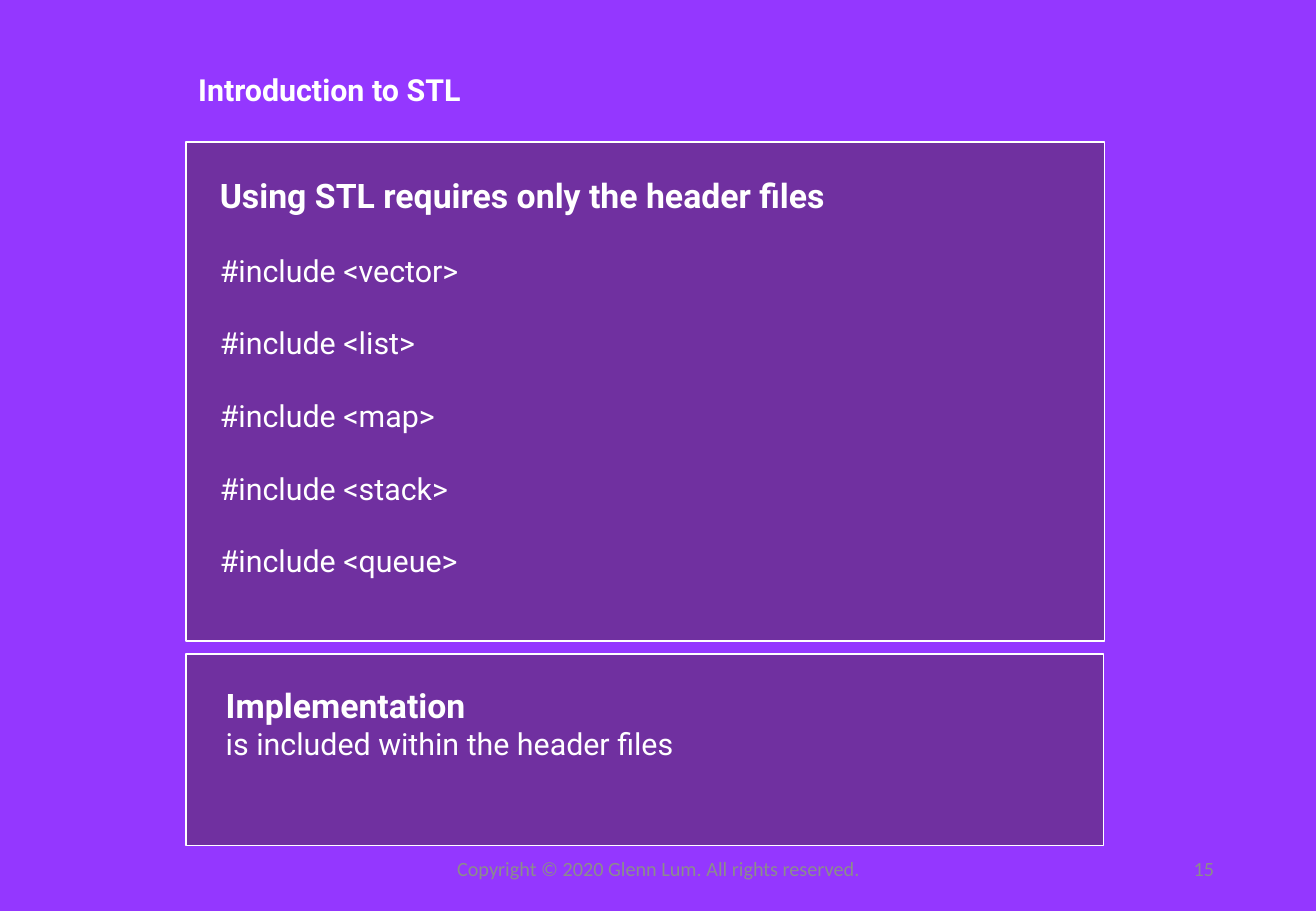
from pptx import Presentation
from pptx.dml.color import RGBColor
from pptx.enum.shapes import MSO_SHAPE
from pptx.enum.text import MSO_ANCHOR, MSO_AUTO_SIZE, PP_ALIGN
from pptx.oxml.ns import qn
from pptx.util import Cm, Pt
from lxml.etree import SubElement

WHITE, GREY, PURPLE, VIOLET = "FFFFFF", "8C8C8C", "7030A0", "9437FF"


def colour(hex_string):
    return RGBColor.from_string(hex_string)


class SlideBuilder:
    """Holds the style and the current slide."""

    heading_size, text_size, footer_size = 20, 18, 12

    def __init__(self, presentation):
        self.slide = presentation.slides.add_slide(presentation.slide_layouts[1])
        background = self.slide.background.fill
        background.solid()
        background.fore_color.rgb = colour(VIOLET)

    def place(self, shape, box):
        shape.left, shape.top, shape.width, shape.height = map(Cm, box)

    def fill_text(self, shape, lines, align=PP_ALIGN.LEFT, anchor=MSO_ANCHOR.TOP,
                  font="Roboto", ink=WHITE, gap=0):
        """Set (text, size, bold) lines, with gap points between them."""
        frame = shape.text_frame
        frame.word_wrap = True
        frame.auto_size = MSO_AUTO_SIZE.NONE
        frame.vertical_anchor = anchor
        for index, (text, size, bold) in enumerate(lines):
            paragraph = frame.add_paragraph() if index else frame.paragraphs[0]
            paragraph.alignment = align
            paragraph.space_before = Pt(gap if index else 0)
            run = paragraph.add_run()
            run.text = text
            run.font.name, run.font.size, run.font.bold = font, Pt(size), bold
            run.font.color.rgb = colour(ink)

    def title(self, box, text):
        title = self.slide.shapes.title
        self.place(title, box)
        self.fill_text(title, [(text, self.text_size, True)])

    def body(self, box, heading, items, gap):
        body = self.slide.placeholders[1]
        self.place(body, box)
        self.fill_text(body, self.headed(heading, items), gap=gap)
        for paragraph in body.text_frame.paragraphs:
            properties = paragraph._p.get_or_add_pPr()
            properties.set("marL", "0")
            properties.set("indent", "0")
            SubElement(properties, qn("a:buNone"))

    def headed(self, heading, items):
        return [(heading, self.heading_size, True)] + [
            (item, self.text_size, False) for item in items]

    def note(self, box, heading, items):
        note = self.slide.shapes.add_textbox(*map(Cm, box))
        self.fill_text(note, self.headed(heading, items))

    def footer(self, box, text, align):
        footer = self.slide.shapes.add_textbox(*map(Cm, box))
        self.fill_text(footer, [(text, self.footer_size, False)], align,
                       MSO_ANCHOR.MIDDLE, "Calibri", GREY)

    def panel(self, box):
        """Draw a framed panel behind all text."""
        panel = self.slide.shapes.add_shape(MSO_SHAPE.RECTANGLE, *map(Cm, box))
        panel.shadow.inherit = False
        panel.fill.solid()
        panel.fill.fore_color.rgb = colour(PURPLE)
        panel.line.color.rgb = colour(WHITE)
        panel.line.width = Pt(1)
        panel.element.getparent().insert(2, panel.element)


def main():
    presentation = Presentation()
    presentation.slide_width, presentation.slide_height = Cm(27.51), Cm(19.05)
    builder = SlideBuilder(presentation)

    # Title
    builder.title((3.89, 1.37, 6.43, 1.02), "Introduction to STL")

    # Header files
    builder.panel((3.89, 2.97, 19.2, 10.44))
    headers = ["vector", "list", "map", "stack", "queue"]
    builder.body((4.34, 3.53, 17.45, 8.81),
                 "Using STL requires only the header files",
                 [f"#include <{header}>" for header in headers], gap=21.5)

    # Implementation
    builder.panel((3.89, 13.67, 19.18, 4.01))
    builder.note((4.47, 14.2, 17.32, 1.88), "Implementation",
                 ["is included within the header files"])

    # Footer
    builder.footer((9.12, 17.65, 9.3, 1.02),
                   "Copyright © 2020 Glenn Lum. All rights reserved.", PP_ALIGN.CENTER)
    builder.footer((19.43, 17.65, 6.2, 1.02), "15", PP_ALIGN.RIGHT)

    presentation.save("out.pptx")


if __name__ == "__main__":
    main()
